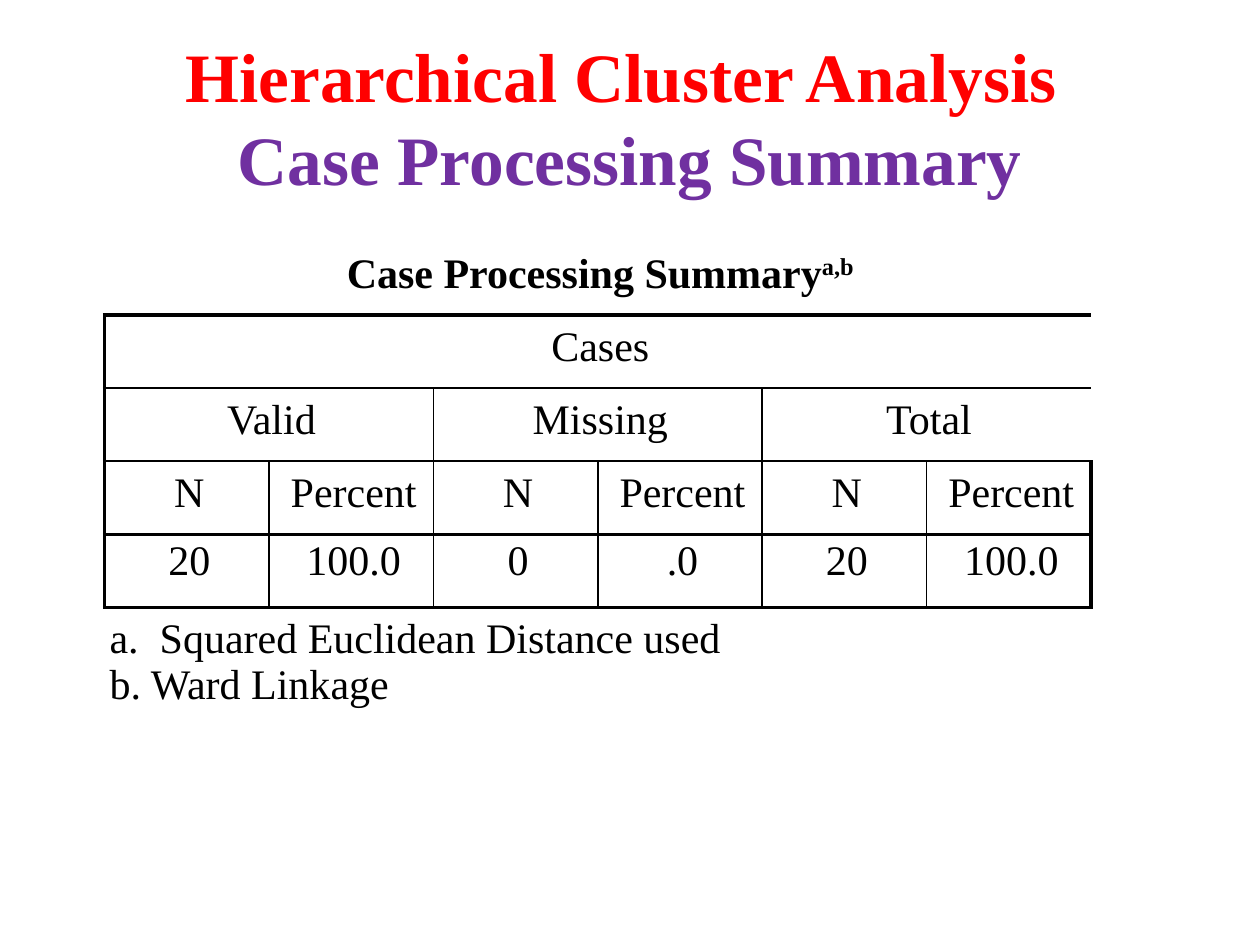
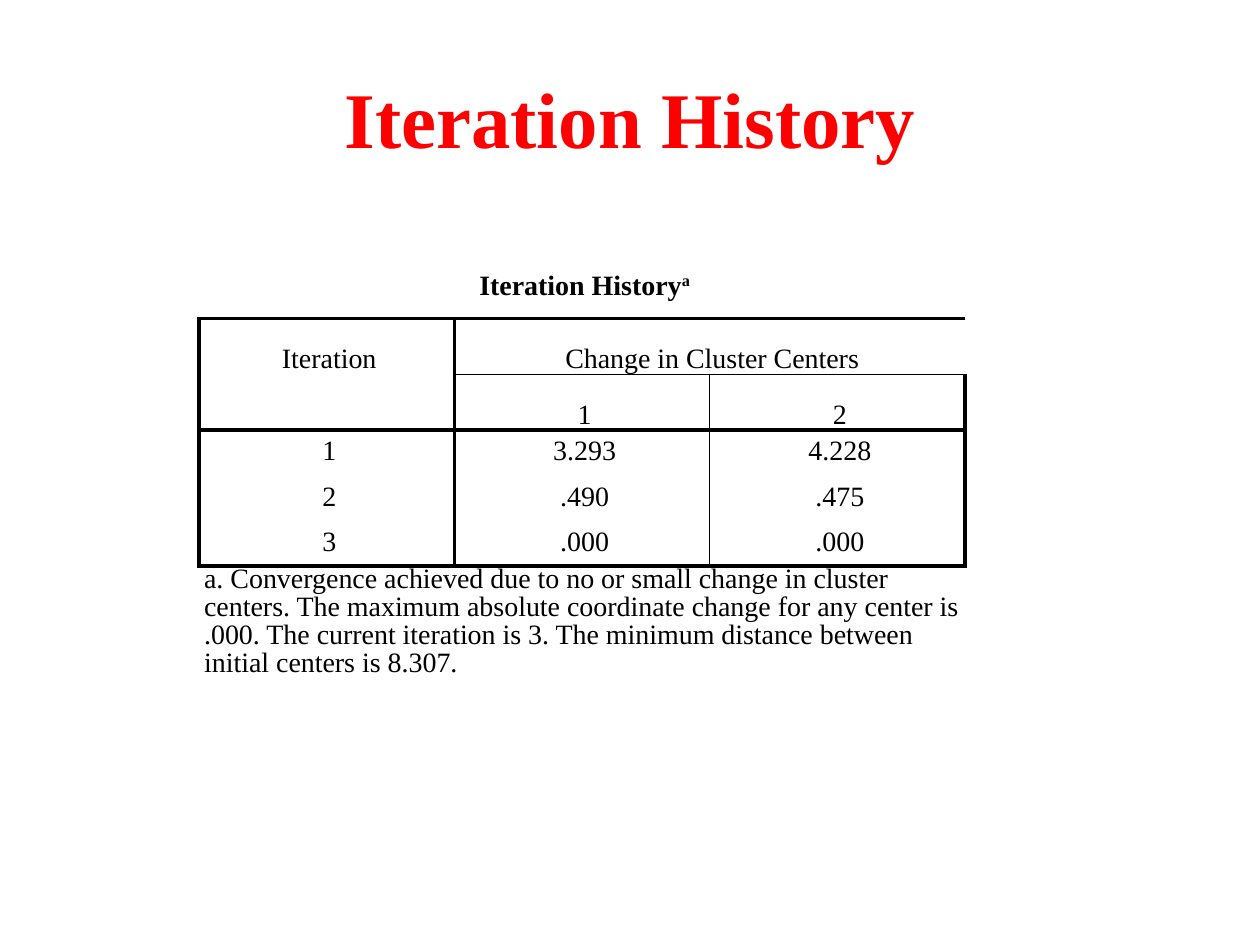
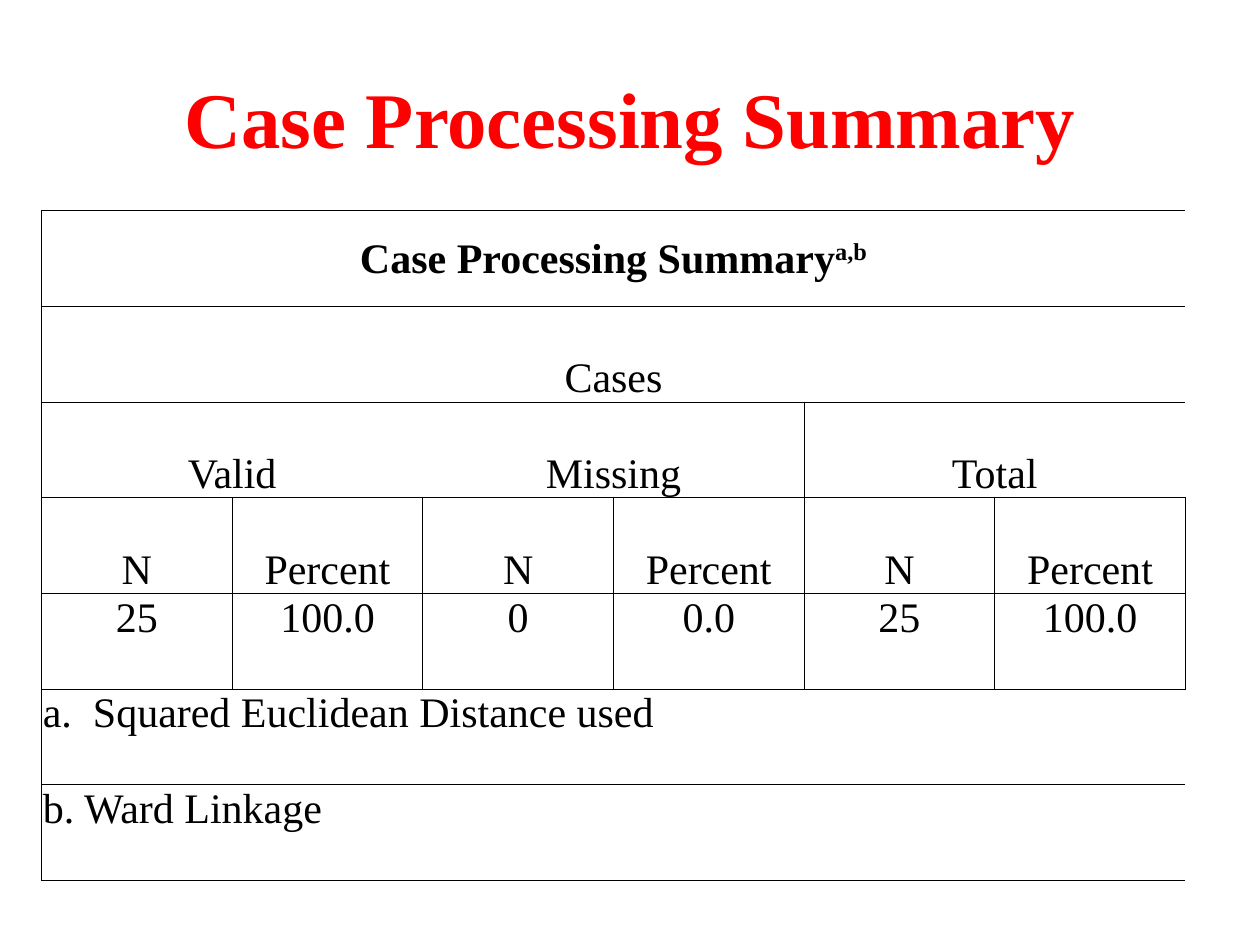
"""Build three slides of cluster analysis tables."""
import dataclasses

import lxml.etree
import pptx
import pptx.dml.color
import pptx.enum.text
import pptx.oxml.ns
import pptx.util

Inches = pptx.util.Inches
RGBColor = pptx.dml.color.RGBColor
ALIGN = pptx.enum.text.PP_ALIGN
ANCHOR = pptx.enum.text.MSO_ANCHOR

FONT = "Times New Roman"
RED = RGBColor(0xFF, 0x00, 0x00)
PURPLE = RGBColor(0x70, 0x30, 0xA0)
BLACK = RGBColor(0x00, 0x00, 0x00)
WHITE = RGBColor(0xFF, 0xFF, 0xFF)
THICK, THIN, HAIR = 2.25, 1, 0.5
LINE_PITCH = 16
LINE_GAP = 0.22


@dataclasses.dataclass
class Row:
    """Cells as (text, columns, rows), with rule widths and text placement."""
    cells: list
    top: float = 0
    bottom: float = 0
    verticals: tuple = ()
    gap: float = 0
    anchor: object = ANCHOR.TOP
    align: object = ALIGN.CENTER
    note: str = ""


GROUPS = [("Valid", 2, 1), ("Missing", 2, 1), ("Total", 2, 1)]
MEASURES = [(name, 1, 1) for name in ("N", "Percent") * 3]
CAPTION = [("Case Processing Summary", 6, 1)]
CASES = [("Cases", 6, 1)]
DISTANCE = [("a.  Squared Euclidean Distance used", 6, 1)]
LINKAGE = [("b. Ward Linkage", 6, 1)]
CONVERGENCE = (
    "a. Convergence achieved due to no or small change in cluster centers. "
    "The maximum absolute coordinate change for any center is .000. "
    "The current iteration is 3. The minimum distance between initial centers is 8.307."
)


def singles(*texts):
    """Give each text one cell."""
    return [(text, 1, 1) for text in texts]


SIX_COLUMNS = (THICK, THIN, THIN, THIN, THIN, THIN, THICK)
THREE_COLUMNS = (THICK, THICK, THIN, THICK)
OPEN_RIGHT = SIX_COLUMNS[:-1] + (THIN,)

HIERARCHICAL_ROWS = [
    Row(CAPTION, 0, THICK, gap=LINE_GAP, note="a,b"),
    Row(CASES, THICK, THIN, OPEN_RIGHT, LINE_GAP),
    Row(GROUPS, THIN, THIN, OPEN_RIGHT, LINE_GAP),
    Row(MEASURES, THIN, THICK, SIX_COLUMNS, LINE_GAP),
    Row(singles("20", "100.0", "0", ".0", "20", "100.0"), THICK, THICK, SIX_COLUMNS,
        anchor=ANCHOR.MIDDLE),
    Row(DISTANCE, THICK, gap=LINE_GAP, align=ALIGN.LEFT),
    Row(LINKAGE, align=ALIGN.LEFT),
]

ITERATION_ROWS = [
    Row([("Iteration History", 3, 1)], 0, THICK, note="a"),
    Row([("Iteration", 1, 2), ("Change in Cluster Centers", 2, 1)], THICK, THIN,
        (THICK, THICK, THIN, THIN), LINE_GAP),
    Row(singles(None, "1", "2"), THIN, THICK, THREE_COLUMNS, LINE_GAP),
    Row(singles("1", "3.293", "4.228"), THICK, 0, THREE_COLUMNS, anchor=ANCHOR.MIDDLE),
    Row(singles("2", ".490", ".475"), 0, 0, THREE_COLUMNS, anchor=ANCHOR.MIDDLE),
    Row(singles("3", ".000", ".000"), 0, THICK, THREE_COLUMNS, anchor=ANCHOR.MIDDLE),
    Row([(CONVERGENCE, 3, 1)], THICK, align=ALIGN.LEFT),
]

SUMMARY_ROWS = [
    Row(cells, HAIR, HAIR, (HAIR,) * 7, anchor=anchor, align=align, note=note)
    for cells, anchor, align, note in [
        (CAPTION, ANCHOR.MIDDLE, ALIGN.CENTER, "a,b"),
        (CASES, ANCHOR.BOTTOM, ALIGN.CENTER, ""),
        (GROUPS, ANCHOR.BOTTOM, ALIGN.CENTER, ""),
        (MEASURES, ANCHOR.BOTTOM, ALIGN.CENTER, ""),
        (singles("25", "100.0", "0", "0.0", "25", "100.0"), ANCHOR.TOP, ALIGN.CENTER, ""),
        (DISTANCE, ANCHOR.TOP, ALIGN.LEFT, ""),
        (LINKAGE, ANCHOR.TOP, ALIGN.LEFT, ""),
    ]
]

SLIDES = [
    dict(title=[("Hierarchical Cluster Analysis ", RED), ("Case Processing Summary", PURPLE)],
         title_size=39.6, rows=HIERARCHICAL_ROWS, left=0.83, top=1.92, width=7.83,
         heights=[0.58] * 7, size=24, dense=True),
    dict(title=[("Iteration History", RED)],
         title_size=45, rows=ITERATION_ROWS, left=1.58, top=2.17, width=6.08,
         heights=[0.36] * 6 + [1.43], size=16, dense=True),
    dict(title=[("Case Processing Summary", RED)],
         title_size=45, rows=SUMMARY_ROWS, left=0.33, top=1.67, width=9.08,
         heights=[0.76] * 7, size=24, dense=False),
]


def write(paragraph, text, size, color=BLACK, bold=False, superscript=False):
    """Add one formatted run to a paragraph."""
    run = paragraph.add_run()
    run.text = text
    run.font.name = FONT
    run.font.size = pptx.util.Pt(size)
    run.font.bold = bold
    run.font.color.rgb = color
    if superscript:
        run._r.get_or_add_rPr().set("baseline", "30000")


def add_title(slide, lines, size):
    """Fill the title placeholder, one line per entry."""
    title = slide.shapes.title
    title.left, title.top = Inches(0.5), Inches(0.3)
    title.width, title.height = Inches(9), Inches(1.25)
    frame = title.text_frame
    frame.auto_size = pptx.enum.text.MSO_AUTO_SIZE.NONE
    frame.vertical_anchor = ANCHOR.MIDDLE
    paragraph = frame.paragraphs[0]
    paragraph.alignment = ALIGN.CENTER
    for index, (text, color) in enumerate(lines):
        if index:
            paragraph.add_line_break()
        write(paragraph, text, size, color, bold=True)


def rule_cell(cell, **widths):
    """Draw the cell's borders, leaving out those of zero width."""
    qn = pptx.oxml.ns.qn
    properties = cell._tc.get_or_add_tcPr()
    for side in "LRTB":
        line = lxml.etree.SubElement(properties, qn("a:ln" + side))
        width = widths[side]
        if width:
            line.set("w", str(pptx.util.Pt(width)))
            fill = lxml.etree.SubElement(line, qn("a:solidFill"))
            lxml.etree.SubElement(fill, qn("a:srgbClr")).set("val", str(BLACK))
        else:
            lxml.etree.SubElement(line, qn("a:noFill"))


def fill_cell(cell, text, row, size, dense):
    """Place and write the text of one cell."""
    inset = 0 if dense else 0.01
    cell.margin_left = cell.margin_right = Inches(inset)
    cell.margin_top, cell.margin_bottom = Inches(inset + row.gap), 0
    cell.vertical_anchor = row.anchor
    paragraph = cell.text_frame.paragraphs[0]
    paragraph.alignment = row.align
    if dense:
        paragraph.line_spacing = pptx.util.Pt(LINE_PITCH)
        paragraph._p.get_or_add_pPr().set("marL", str(Inches(0.04)))
    write(paragraph, text, size, bold=bool(row.note))
    if row.note:
        write(paragraph, row.note, size, bold=True, superscript=True)


def add_grid(slide, rows, left, top, width, heights, size, dense):
    """Add a table with equal columns, merged cells and its own rules."""
    columns = sum(span for _, span, _ in rows[0].cells)
    table = slide.shapes.add_table(
        len(rows), columns, Inches(left), Inches(top),
        Inches(width), Inches(sum(heights))).table
    table.first_row = table.horz_banding = False
    for column in table.columns:
        column.width = Inches(width / columns)
    for r, row in enumerate(rows):
        table.rows[r].height = Inches(heights[r])
        verticals = row.verticals or (0,) * (columns + 1)
        first = 0
        for text, span, depth in row.cells:
            last = first + span - 1
            for c in range(first, last + 1):
                cell = table.cell(r, c)
                rule_cell(cell,
                          L=verticals[c] if c == first else 0,
                          R=verticals[c + 1] if c == last else 0,
                          T=row.top if text else 0,
                          B=rows[r + depth - 1].bottom)
                if dense:
                    cell.fill.solid()
                    cell.fill.fore_color.rgb = WHITE
                else:
                    cell.fill.background()
            if text:
                origin = table.cell(r, first)
                fill_cell(origin, text, row, size, dense)
                if span * depth > 1:
                    origin.merge(table.cell(r + depth - 1, last))
            first = last + 1


def main():
    """Build and save the presentation."""
    deck = pptx.Presentation()
    deck.slide_width, deck.slide_height = Inches(10), Inches(7.5)
    for content in SLIDES:
        slide = deck.slides.add_slide(deck.slide_layouts[5])
        grid = dict(content)
        add_title(slide, grid.pop("title"), grid.pop("title_size"))
        add_grid(slide, **grid)
    deck.save("out.pptx")


if __name__ == "__main__":
    main()
